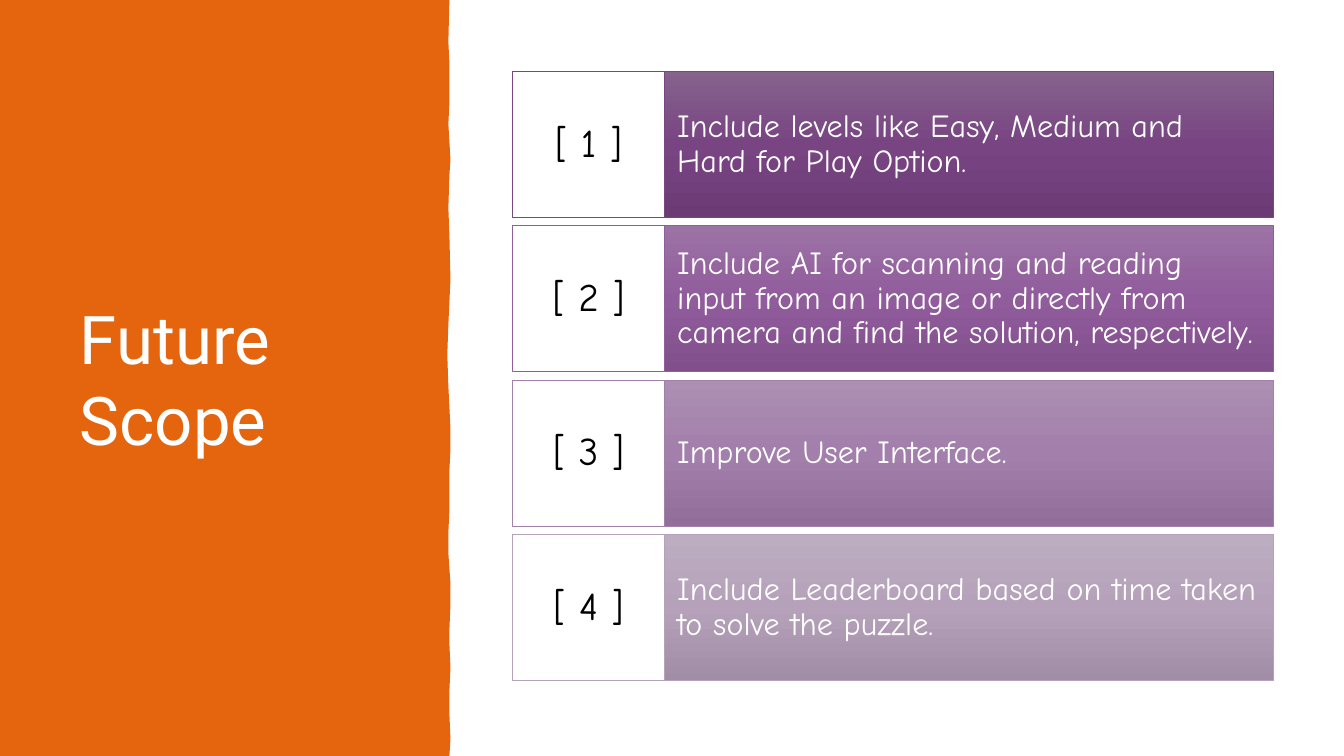
from copy import deepcopy

from pptx import Presentation
from pptx.dml.color import RGBColor
from pptx.enum.shapes import MSO_SHAPE
from pptx.enum.text import MSO_ANCHOR, MSO_AUTO_SIZE, PP_ALIGN
from pptx.oxml.ns import qn
from pptx.util import Pt

RECTANGLE = MSO_SHAPE.RECTANGLE
MIDDLE = MSO_ANCHOR.MIDDLE
NO_AUTOFIT = MSO_AUTO_SIZE.NONE
LEFT, CENTER = PP_ALIGN.LEFT, PP_ALIGN.CENTER

EMU_PER_PX = 9525
SLIDE_WIDTH, SLIDE_HEIGHT = 1280, 720
TITLE_FONT, BODY_FONT = "Roboto", "Comic Neue"
COLORS = {"panel": "E4650E", "white": "FFFFFF", "black": "000000"}

# Points down the torn right edge of the panel
PANEL_EDGE = [
    (428, 0), (427, 40), (428, 60), (428, 98), (427, 118), (428, 135),
    (429, 152), (428, 167), (427, 198), (428, 224), (429, 266), (427, 309),
    (426, 338), (427, 368), (429, 408), (429, 428), (428, 448), (428, 466),
    (428, 486), (427, 507), (427, 527), (429, 556), (429, 576), (428, 600),
    (428, 613), (429, 636), (428, 658), (428, 680), (429, 704), (428, 720),
]

# Text, outline colour, gradient from top to bottom
SCOPE_ITEMS = [
    ("Include levels like Easy, Medium and Hard for Play Option.",
     "76487F", ("86628E", "784582", "6C3B76")),
    ("Include AI for scanning and reading input from an image or directly "
     "from camera and find the solution, respectively.",
     "8F5F99", ("9C73A5", "915C9C", "824F8D")),
    ("Improve User Interface.",
     "A181A9", ("AC8FB2", "A37FAB", "926E9A")),
    ("Include Leaderboard based on time taken to solve the puzzle.",
     "B5A2B9", ("BDADC1", "B5A1BA", "A28DA7")),
]


def px(length):
    return round(length * EMU_PER_PX)


def rgb(value):
    return RGBColor.from_string(value)


def set_text(shape, text, font_name, size, color, alignment, insets):
    frame = shape.text_frame
    frame.word_wrap = True
    frame.auto_size = NO_AUTOFIT
    frame.vertical_anchor = MIDDLE
    frame.margin_left = frame.margin_right = px(insets[0])
    frame.margin_top = frame.margin_bottom = px(insets[1])
    frame.text = text
    paragraph = frame.paragraphs[0]
    paragraph.alignment = alignment
    paragraph.font.name = font_name
    paragraph.font.size = Pt(size)
    paragraph.font.color.rgb = rgb(color)
    return paragraph


def set_gradient(shape, colors):
    """Fill from top to bottom with evenly spaced colours."""
    fill = shape.fill
    fill.gradient()
    fill.gradient_angle = 270
    stop_list = shape._element.spPr.find(qn("a:gradFill")).find(qn("a:gsLst"))
    while len(stop_list) < len(colors):
        stop_list.append(deepcopy(stop_list[-1]))
    for index, (stop, color) in enumerate(zip(fill.gradient_stops, colors)):
        stop.position = index / (len(colors) - 1)
        stop.color.rgb = rgb(color)


def add_title_panel(slide, left, top, height):
    # Torn-edge panel, sent behind the title
    points = [(px(left + x), px(top + y)) for x, y in PANEL_EDGE]
    builder = slide.shapes.build_freeform(px(left), px(top))
    builder.add_line_segments(points + [(px(left), px(top + height))], close=True)
    panel = builder.convert_to_shape()
    panel.shadow.inherit = False
    panel.fill.solid()
    panel.fill.fore_color.rgb = rgb(COLORS["panel"])
    panel.line.fill.background()
    slide.shapes._spTree.insert(2, panel._element)

    # Title
    title = slide.shapes.title
    title.left, title.top = px(left + 66), px(top + 67)
    title.width, title.height = px(325), px(height - 134)
    set_text(title, "Future Scope", TITLE_FONT, 48, COLORS["white"], LEFT, (10, 5))


def add_box(slide, left, top, width, height, outline):
    box = slide.shapes.add_shape(RECTANGLE, px(left), px(top), px(width), px(height))
    box.shadow.inherit = False
    box.line.color.rgb = rgb(outline)
    box.line.width = Pt(0.5)
    return box


def add_scope_list(slide, left, top, width, height):
    gap = 8
    row_height = (height - gap * (len(SCOPE_ITEMS) - 1)) / len(SCOPE_ITEMS)
    number_width = width // 5
    for index, (text, outline, gradient) in enumerate(SCOPE_ITEMS):
        row_top = top + index * (row_height + gap)

        # Description
        description = add_box(slide, left + number_width, row_top,
                              width - number_width, row_height, outline)
        set_gradient(description, gradient)
        paragraph = set_text(description, text, BODY_FONT, 23,
                             COLORS["white"], LEFT, (12, 35))
        paragraph.line_spacing = 0.9

        # Number
        number = add_box(slide, left, row_top, number_width, row_height, outline)
        number.fill.solid()
        number.fill.fore_color.rgb = rgb(COLORS["white"])
        paragraph = set_text(number, f"[ {index + 1} ]", BODY_FONT, 28,
                             COLORS["black"], CENTER, (8, 13))
        paragraph.line_spacing = 0.9


def main():
    presentation = Presentation()
    presentation.slide_width = px(SLIDE_WIDTH)
    presentation.slide_height = px(SLIDE_HEIGHT)
    slide = presentation.slides.add_slide(presentation.slide_layouts[5])
    add_title_panel(slide, 0, 0, SLIDE_HEIGHT)
    add_scope_list(slide, 488, 68, 725, 580)
    presentation.save("out.pptx")


if __name__ == "__main__":
    main()
